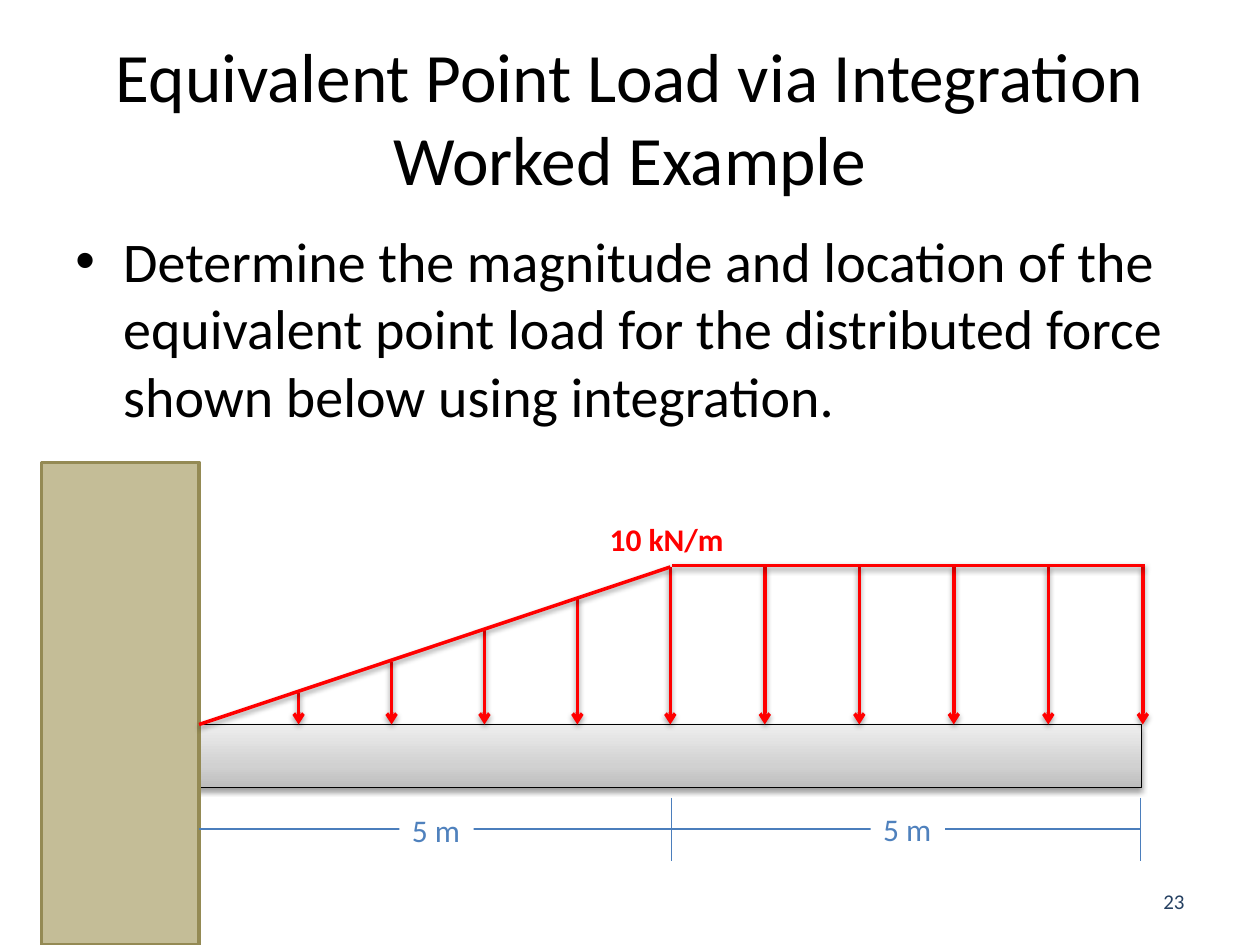
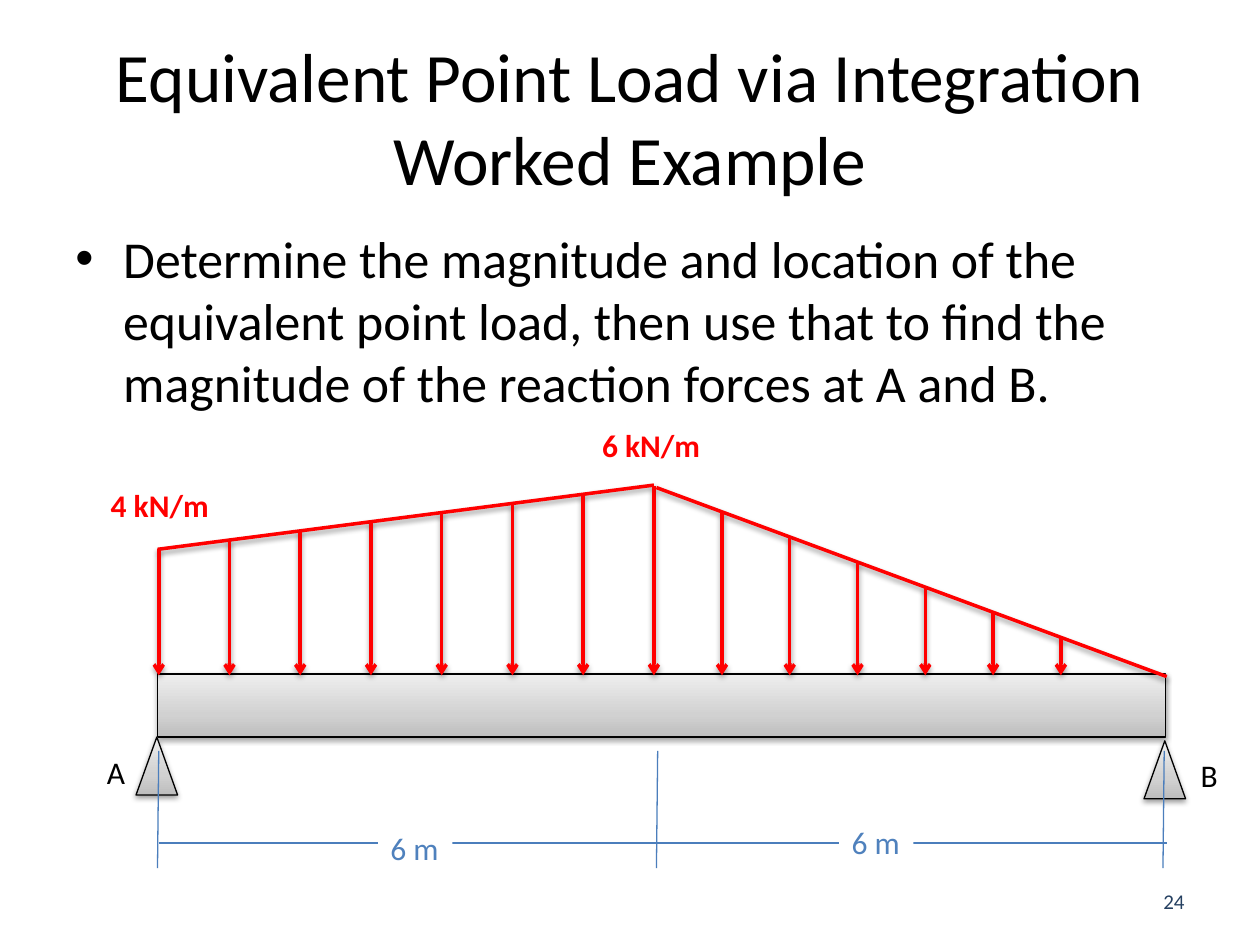
"""Build two worked-example slides on equivalent point loads."""
from lxml import etree
from pptx import Presentation
from pptx.dml.color import RGBColor
from pptx.enum.shapes import MSO_CONNECTOR, MSO_SHAPE
from pptx.enum.text import MSO_ANCHOR, MSO_AUTO_SIZE, PP_ALIGN
from pptx.oxml.ns import qn
from pptx.util import Inches, Pt

STRAIGHT = MSO_CONNECTOR.STRAIGHT
RECTANGLE, TRIANGLE = MSO_SHAPE.RECTANGLE, MSO_SHAPE.ISOSCELES_TRIANGLE
TOP, MIDDLE = MSO_ANCHOR.TOP, MSO_ANCHOR.MIDDLE
LEFT, CENTER, RIGHT = PP_ALIGN.LEFT, PP_ALIGN.CENTER, PP_ALIGN.RIGHT
FIT_TEXT = MSO_AUTO_SIZE.SHAPE_TO_FIT_TEXT

COLORS = {
    "ink": "000000",
    "paper": "FFFFFF",
    "number": "254061",
    "load": "FF0000",
    "measure": "4B7EBC",
    "measure_text": "4F81BD",
    "wall": "C4BD97",
    "wall_edge": "948A54",
}
STEEL = ((0, "BDBDBD"), (35, "D1D1D1"), (100, "EEEEEE"))
FONT = "Calibri"
COLUMNS, ROWS = 40, 30
TITLE = "Equivalent Point Load via Integration Worked Example"


def color(name):
    return RGBColor.from_string(COLORS[name])


def add_child(parent, tag, **attributes):
    child = etree.SubElement(parent, qn(tag))
    for key, value in attributes.items():
        child.set(key, str(value))
    return child


class BeamDeck:
    """Hold the deck style and the current page, measured on a 40 by 30 grid."""

    def __init__(self):
        self.deck = Presentation()
        self.deck.slide_width, self.deck.slide_height = Inches(10), Inches(7.5)
        self.page = None

    def across(self, columns):
        return round(self.deck.slide_width * columns / COLUMNS)

    def down(self, rows):
        return round(self.deck.slide_height * rows / ROWS)

    def area(self, left, top, width, height):
        return self.across(left), self.down(top), self.across(width), self.down(height)

    def start_page(self, number, task, task_size):
        self.page = self.deck.slides.add_slide(self.deck.slide_layouts[6])
        self.text(TITLE, (2, 1.2, 36, 5), size=39.6, align=CENTER, anchor=MIDDLE)
        self.text(task, (2, 7, 36, 6.32), size=task_size, bullet=True)
        self.text(str(number), (28.68, 27.8, 9.32, 1.6), size=12, ink="number",
                  align=RIGHT, anchor=MIDDLE)

    def text(self, words, area, size=18, ink="ink", bold=False, align=LEFT,
             anchor=TOP, bullet=False, wrap=True, fill=None):
        box = self.page.shapes.add_textbox(*self.area(*area))
        frame = box.text_frame
        frame.word_wrap = wrap
        frame.vertical_anchor = anchor
        if not wrap:
            frame.auto_size = FIT_TEXT
        if fill:
            box.fill.solid()
            box.fill.fore_color.rgb = color(fill)
        para = frame.paragraphs[0]
        para.alignment = align
        if bullet:
            properties = para._p.get_or_add_pPr()
            properties.set("marL", str(Inches(0.38)))
            properties.set("indent", str(-Inches(0.38)))
            add_child(properties, "a:buFont", typeface="Arial")
            add_child(properties, "a:buChar", char="•")
        span = para.add_run()
        span.text = words
        span.font.name, span.font.size, span.font.bold = FONT, Pt(size), bold
        span.font.color.rgb = color(ink)

    def label(self, words, left, top, width, **style):
        self.text(words, (left, top, width, 1.6), wrap=False, **style)

    def load_label(self, words, left, top, width):
        self.label(words, left, top, width, ink="load", bold=True)

    def cast_shadow(self, item):
        effects = item.element.spPr.find(qn("a:effectLst"))
        shadow = add_child(effects, "a:outerShdw", blurRad=40000, dist=20000,
                           dir=5400000, rotWithShape=0)
        shade = add_child(shadow, "a:srgbClr", val=COLORS["ink"])
        add_child(shade, "a:alpha", val=38000)

    def shape(self, kind, area, edge="ink", weight=0.75):
        shape = self.page.shapes.add_shape(kind, *self.area(*area))
        shape.shadow.inherit = False
        shape.line.color.rgb = color(edge)
        shape.line.width = Pt(weight)
        return shape

    def steel(self, kind, *area):
        shape = self.shape(kind, area)
        shape.fill.gradient()
        shape.fill.gradient_angle = 90
        stops = shape.element.spPr.find(qn("a:gradFill")).find(qn("a:gsLst"))
        for stop in list(stops):
            stops.remove(stop)
        for position, shade in STEEL:
            stop = add_child(stops, "a:gs", pos=position * 1000)
            add_child(stop, "a:srgbClr", val=shade)
        self.cast_shadow(shape)

    def wall(self, *area):
        shape = self.shape(RECTANGLE, area, "wall_edge", 2)
        shape.fill.solid()
        shape.fill.fore_color.rgb = color("wall")

    def line(self, start, end, ink="measure", weight=0.75, arrow=False, shadow=False):
        line = self.page.shapes.add_connector(
            STRAIGHT, self.across(start[0]), self.down(start[1]),
            self.across(end[0]), self.down(end[1]))
        line.line.color.rgb = color(ink)
        line.line.width = Pt(weight)
        if arrow:
            add_child(line.line._get_or_add_ln(), "a:tailEnd", type="arrow")
        add_child(line.element.spPr, "a:effectLst")
        if shadow:
            self.cast_shadow(line)

    def load_edge(self, start, end):
        self.line(start, end, "load", 2, shadow=True)

    def load_arrows(self, first, last, count, base):
        for index in range(count):
            share = index / (count - 1)
            column, row = (a + (b - a) * share for a, b in zip(first, last))
            self.line((column, row), (column, base), "load", 2, arrow=True, shadow=True)

    def dimension(self, start, end, row, ticks, tick_rows, lean=0):
        self.line((start, row), (end, row))
        for tick in ticks:
            self.line((tick, tick_rows[0]), (tick - lean, tick_rows[1]))

    def span_label(self, words, left, top):
        self.label(words, left, top, 2.36, ink="measure_text", fill="paper")


def cantilever_page(deck):
    deck.start_page(23, "Determine the magnitude and location of the equivalent point "
                        "load for the distributed force shown below using integration.", 32)
    deck.steel(RECTANGLE, 4.92, 23, 31.32, 2)
    deck.wall(1.32, 14.68, 5, 15.32)
    deck.load_arrows((9.48, 22), (21.28, 18), 5, 23)
    deck.load_edge((21.28, 18), (6.32, 23))
    deck.dimension(6.32, 36.2, 26.32, (21.32, 36.2), (25.32, 27.32))
    deck.span_label("5 m", 12.68, 25.56)
    deck.span_label("5 m", 27.64, 25.52)
    deck.load_label("10 kN/m", 18.96, 16.32, 4.48)
    deck.load_arrows((24.28, 18), (36.28, 18), 5, 23)
    deck.load_edge((36.36, 17.96), (21.32, 17.96))


def supported_beam_page(deck):
    deck.start_page(24, "Determine the magnitude and location of the equivalent point "
                        "load, then use that to find the magnitude of the reaction "
                        "forces at A and B.", 29.6)
    deck.steel(RECTANGLE, 5, 21.4, 32, 2)
    deck.load_edge((5, 17.44), (20.76, 15.4))
    deck.load_arrows((5.04, 17.44), (20.76, 15.44), 8, 21.44)
    deck.load_edge((20.84, 15.48), (37.04, 21.48))
    deck.load_arrows((22.92, 16.24), (33.68, 20.24), 6, 21.44)
    deck.load_label("4 kN/m", 3.12, 15.24, 3.96)
    deck.load_label("6 kN/m", 18.72, 13.32, 3.96)
    deck.steel(TRIANGLE, 4.32, 23.4, 1.32, 1.84)
    deck.steel(TRIANGLE, 36.32, 23.52, 1.32, 1.84)
    deck.label("A", 3, 23.72, 1.4)
    deck.label("B", 37.72, 23.8, 1.36)
    deck.dimension(5.04, 37.04, 26.76, (5.04, 20.88, 36.96), (23.84, 27.56), lean=0.04)
    deck.span_label("6 m", 12, 26.12)
    deck.span_label("6 m", 26.64, 25.92)


def main():
    deck = BeamDeck()
    cantilever_page(deck)
    supported_beam_page(deck)
    deck.deck.save("out.pptx")


if __name__ == "__main__":
    main()
